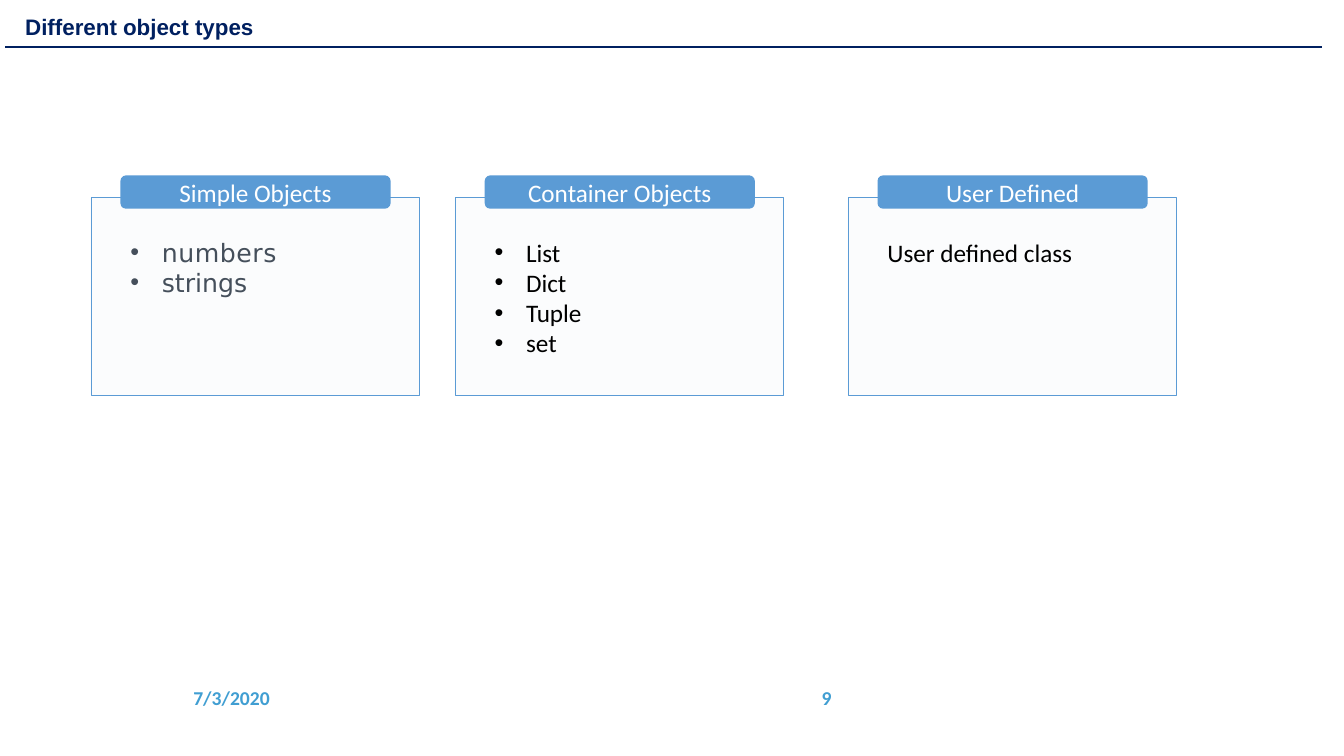
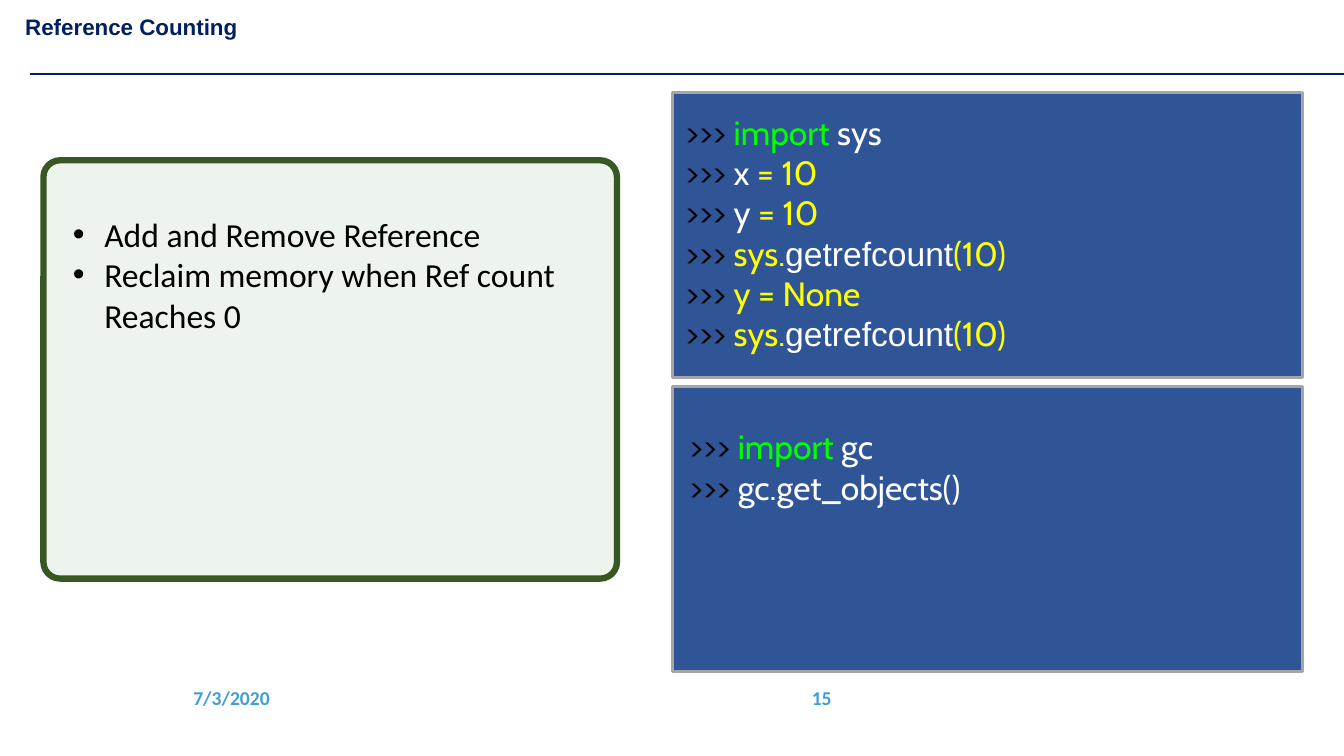
from pptx import Presentation
from pptx.util import Pt
from pptx.dml.color import RGBColor
from pptx.enum import shapes as sh, text as tx
from pptx.oxml.ns import qn
from lxml import etree

# Shared look
HUES = {"navy": "002060", "foot": "409ED2", "blue": "5B9BD5", "pale": "EAEFF7",
        "slate": "454F5B", "leaf": "AACEB0", "green": "385723", "panel": "2F5597",
        "edge": "A6A6A6", "lime": "00FF00", "yellow": "FFFF00",
        "white": "FFFFFF", "black": "000000"}
BODY, HEAD, CODE, PLAIN = "Calibri", "Arial", "Cabin", "DejaVu Sans"
RECT, ROUND = sh.MSO_SHAPE.RECTANGLE, sh.MSO_SHAPE.ROUNDED_RECTANGLE
LEFT, MID, RIGHT = tx.PP_ALIGN.LEFT, tx.PP_ALIGN.CENTER, tx.PP_ALIGN.RIGHT
TOP, CENTRE, LOW = tx.MSO_ANCHOR.TOP, tx.MSO_ANCHOR.MIDDLE, tx.MSO_ANCHOR.BOTTOM
INSET = (7.2, 3.6, 7.2, 3.6)
INDENT = 22.5
DATE = "7/3/2020"

# Slide 1: left edge, heading, items, bulleted, font, colour, tracking per item
CARDS = [
    (64.8, "Simple Objects", ["numbers", "strings"], True, PLAIN, "slate", (40, 0)),
    (325, "Container Objects", ["List", "Dict", "Tuple", "set"], True, BODY, "black", ()),
    (605.6, "User Defined", ["User defined class"], False, BODY, "black", ()),
]

# Slide 2
POINTS = ["Add and Remove Reference", "Reclaim memory when Ref count Reaches 0"]
COUNT = [("sys.", "yellow"), ("getrefcount", "white", HEAD), ("(10)", "yellow")]
PANELS = [  # top, left inset, top inset, lines of code
    (66.2, 9.4, 13.5, [
        [("import ", "lime"), ("sys", "white")],
        [("x", "white"), (" = 10", "yellow")],
        [("y", "white"), (" = 10", "yellow")],
        COUNT,
        [("y = None", "yellow")],
        COUNT]),
    (275.8, 12.3, 28.7, [
        [("import ", "lime"), ("gc", "white")],
        [("gc.get_objects()", "white")]]),
]


def rgb(hue):
    return RGBColor.from_string(HUES[hue])


def paint(shape, fill, line=None, width=0, alpha=None):
    shape.shadow.inherit = False
    shape.fill.solid()
    shape.fill.fore_color.rgb = rgb(fill)
    if alpha:
        tint = shape.fill._xPr.find(qn("a:solidFill"))[0]
        etree.SubElement(tint, qn("a:alpha")).set("val", str(alpha * 1000))
    if line:
        shape.line.color.rgb = rgb(line)
        shape.line.width = Pt(width)
    else:
        shape.line.fill.background()


def frame(shape, anchor=TOP, inset=INSET):
    body = shape.text_frame
    body.word_wrap = True
    body.auto_size = tx.MSO_AUTO_SIZE.NONE
    body.vertical_anchor = anchor
    body.margin_left, body.margin_top, body.margin_right, body.margin_bottom = map(Pt, inset)
    return body


def para(body, first, align=LEFT, bullet=False):
    p = body.paragraphs[0] if first else body.add_paragraph()
    p.alignment = align
    if bullet:
        props = p._p.get_or_add_pPr()
        props.set("marL", str(Pt(INDENT)))
        props.set("indent", str(-Pt(INDENT)))
        etree.SubElement(props, qn("a:buFont")).set("typeface", "Arial")
        etree.SubElement(props, qn("a:buChar")).set("char", "•")
    return p


def run(p, words, size, hue, font=BODY, bold=False, track=None):
    r = p.add_run()
    r.text = words
    r.font.size, r.font.name, r.font.bold = Pt(size), font, bold
    r.font.color.rgb = rgb(hue)
    if track is not None:
        r._r.get_or_add_rPr().set("spc", str(track))


def box(shapes, x, y, w, h):
    return shapes.add_textbox(Pt(x), Pt(y), Pt(w), Pt(h))


def block(shapes, kind, x, y, w, h):
    return shapes.add_shape(kind, Pt(x), Pt(y), Pt(w), Pt(h))


def start(deck, name, number, rule):
    """Add a slide with its title, rule (x1, x2, y) and footer."""
    slide = deck.slides.add_slide(deck.slide_layouts[5])
    title = slide.shapes.title
    title.left, title.top, title.width, title.height = Pt(10.8), Pt(7.2), Pt(651), Pt(25.2)
    title.fill.solid()
    title.fill.fore_color.rgb = rgb("white")
    p = para(frame(title, LOW), True)
    p.line_spacing = 0.9
    run(p, name, 16, "navy", HEAD, True)

    x1, x2, y = rule
    line = slide.shapes.add_connector(sh.MSO_CONNECTOR.STRAIGHT, Pt(x1), Pt(y), Pt(x2), Pt(y))
    line.line.color.rgb = rgb("navy")
    line.line.width = Pt(1.5)
    etree.SubElement(line._element.spPr, qn("a:effectLst"))

    for words, x, w, align in ((DATE, 131, 99.4, LEFT), (number, 383, 218.2, RIGHT)):
        foot = box(slide.shapes, x, 483.8, w, 28.8)
        run(para(frame(foot, CENTRE), True, align), words, 14, "foot", BODY, True)
    return slide


def card(slide, x, name, items, bullet, font, hue, tracks):
    group = slide.shapes.add_group_shape().shapes
    paint(block(group, RECT, x, 141.2, 234.7, 141), "pale", "blue", 0.25, 18)
    inner = x + 21.2
    tab = block(group, ROUND, inner, 125.3, 193, 23.8)
    paint(tab, "blue")
    run(para(frame(tab, CENTRE), True, MID), name, 18, "white")
    body = frame(box(group, inner, 165.6, 182.2, 116.6))
    for i, item in enumerate(items):
        p = para(body, i == 0, bullet=bullet)
        run(p, item, 18, hue, font, track=tracks[i] if tracks else None)


def types(deck):
    slide = start(deck, "Different object types", "9", (3.6, 944.6, 33.8))
    for item in CARDS:
        card(slide, *item)


def counting(deck):
    slide = start(deck, "Reference Counting", "15", (21.6, 960, 52.6))
    # Key points
    note = block(slide.shapes, ROUND, 31, 114.5, 409.7, 298.8)
    note.adjustments[0] = 0.04
    paint(note, "leaf", "green", 4.5, 22)
    body = frame(note, TOP, (17.5, 34.8, 24.7, 3.6))
    for i, point in enumerate(POINTS):
        run(para(body, i == 0, bullet=True), point, 24, "black")
    # Code panels
    for y, left, top, lines in PANELS:
        panel = block(slide.shapes, RECT, 480.2, y, 450, 203.8)
        paint(panel, "panel", "edge", 2.25)
        body = frame(panel, TOP, (left, top, 0, 0))
        for i, parts in enumerate(lines):
            p = para(body, i == 0)
            for words, hue, *font in [(">>> ", "black"), *parts]:
                run(p, words, 24, hue, font[0] if font else CODE)


def main():
    deck = Presentation()
    deck.slide_width, deck.slide_height = Pt(960), Pt(540)
    types(deck)
    counting(deck)
    deck.save("out.pptx")


if __name__ == "__main__":
    main()
